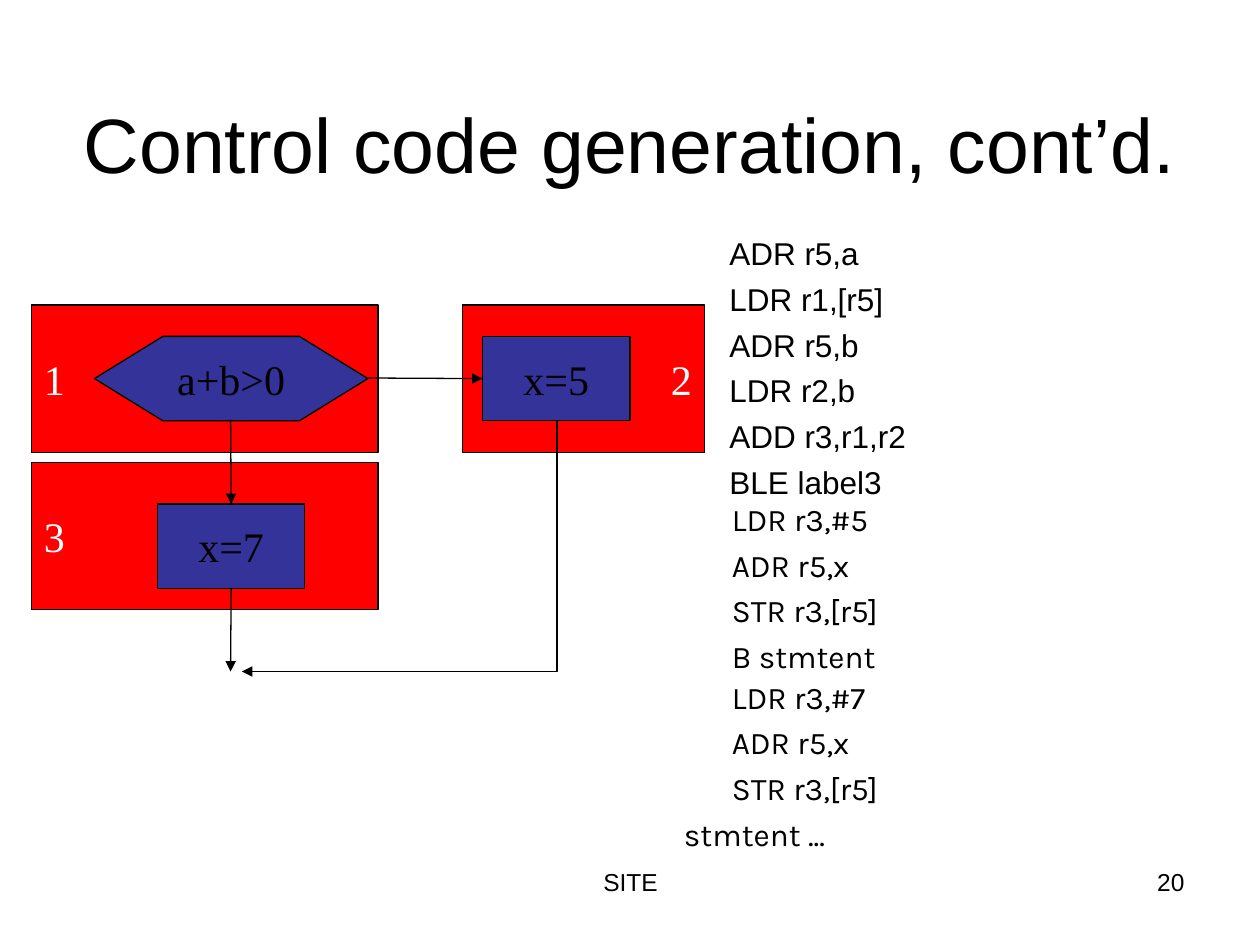
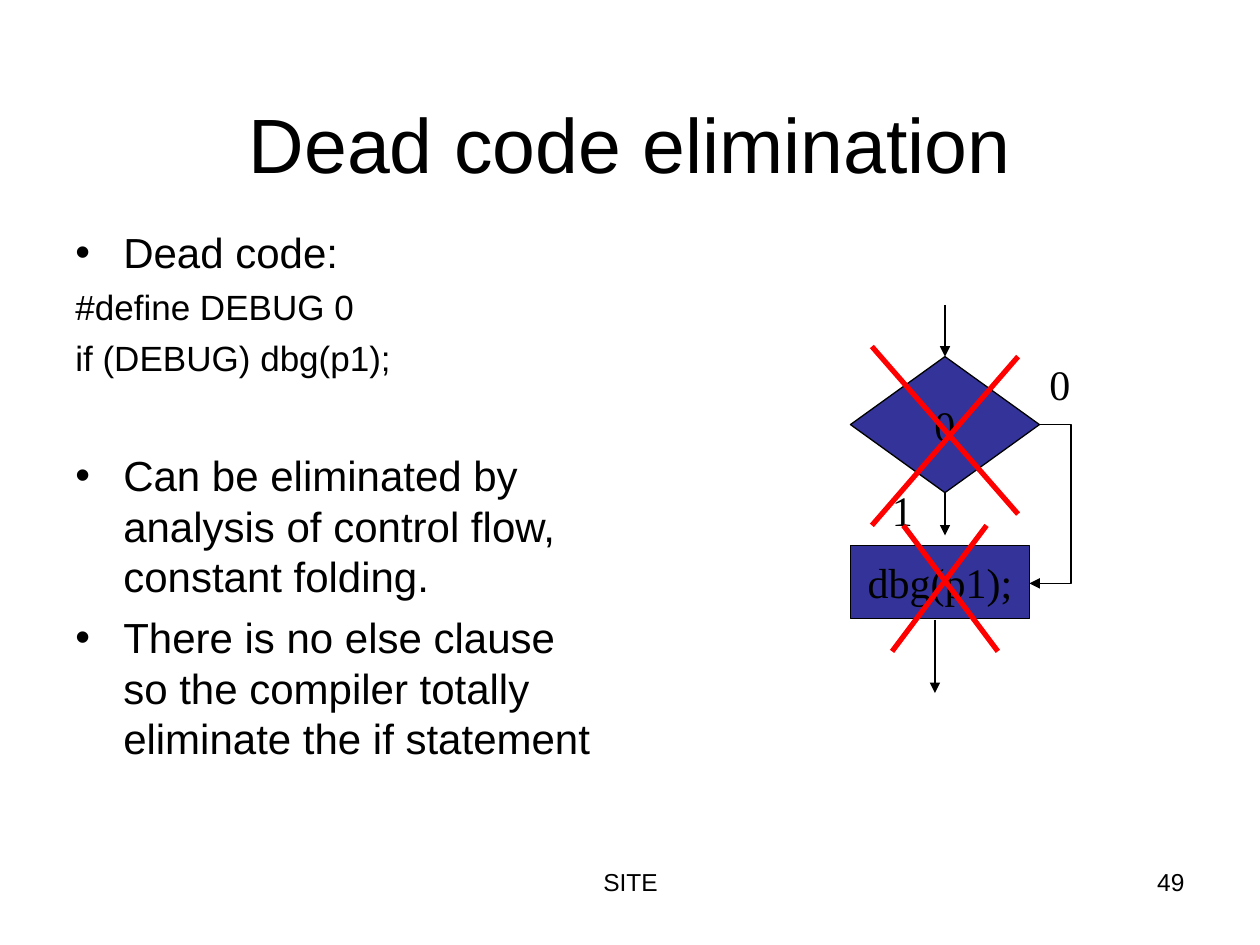
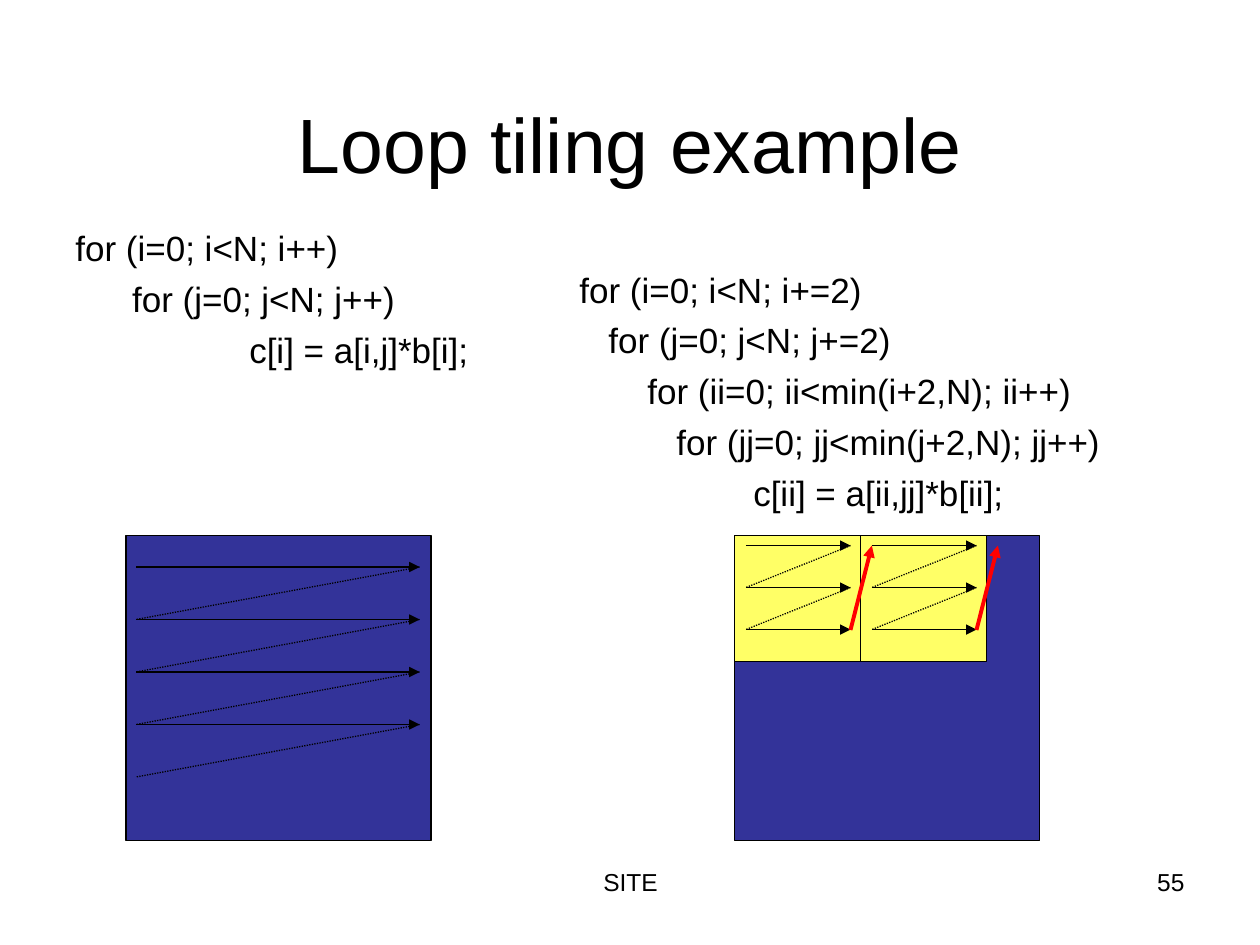
from dataclasses import dataclass
from typing import Optional

from lxml import etree
from pptx import Presentation
from pptx import util as u
from pptx.dml.color import RGBColor
from pptx.enum import dml, shapes, text
from pptx.oxml import ns

COLORS = {
    "black": "000000",
    "white": "FFFFFF",
    "red": "FF0000",
    "blue": "333399",
    "yellow": "FFFF66",
}
SANS, SERIF, KARLA = "Arial", "Times New Roman", "Karla"
LEFT, CENTER, RIGHT = text.PP_ALIGN.LEFT, text.PP_ALIGN.CENTER, text.PP_ALIGN.RIGHT
MIDDLE, BOTTOM = text.MSO_ANCHOR.MIDDLE, text.MSO_ANCHOR.BOTTOM
RECT = shapes.MSO_SHAPE.RECTANGLE
HEXAGON = shapes.MSO_SHAPE.HEXAGON
DIAMOND = shapes.MSO_SHAPE.DIAMOND
STRAIGHT, ELBOW = shapes.MSO_CONNECTOR.STRAIGHT, shapes.MSO_CONNECTOR.ELBOW
TOP_SIDE, LEFT_SIDE, BOTTOM_SIDE = 0, 1, 2
HANG = 0.38


@dataclass
class Para:
    text: str
    indent: float = 0
    bullet: bool = False
    size: Optional[float] = None
    before: Optional[float] = None


@dataclass
class Box:
    x: float
    y: float
    w: float
    h: float
    label: str = ""
    fill: str = "blue"
    color: str = "black"
    align: text.PP_ALIGN = CENTER
    kind: shapes.MSO_SHAPE = RECT


def rgb(name: str) -> RGBColor:
    return RGBColor.from_string(COLORS[name])


def sub(parent, tag: str, **attrs: str):
    return etree.SubElement(parent, ns.qn(tag), attrs)


def write_text(tf, paras, size=24, font=SANS, color="black", align=LEFT,
               before=0, wrap=True, anchor=text.MSO_ANCHOR.TOP) -> None:
    tf.auto_size = text.MSO_AUTO_SIZE.NONE
    tf.word_wrap = wrap
    tf.vertical_anchor = anchor
    for i, item in enumerate(paras):
        para = Para(item) if isinstance(item, str) else item
        p = tf.paragraphs[0] if i == 0 else tf.add_paragraph()
        pPr = p._p.get_or_add_pPr()
        if para.indent or para.bullet:
            pPr.set("marL", str(u.Inches(HANG if para.bullet else para.indent)))
        if para.bullet:
            pPr.set("indent", str(u.Inches(-HANG)))
            sub(pPr, "a:buFont", typeface=SANS)
            sub(pPr, "a:buChar", char="•")
        p.alignment = align
        p.line_spacing = 1.0
        if i:
            p.space_before = u.Pt(before if para.before is None else para.before)
        r = p.add_run()
        r.text = para.text
        r.font.size = u.Pt(para.size or size)
        r.font.name = font
        r.font.color.rgb = rgb(color)


def add_text(s, x: float, y: float, w: float, h: float, paras, **fmt) -> None:
    tb = s.shapes.add_textbox(u.Inches(x), u.Inches(y), u.Inches(w), u.Inches(h))
    write_text(tb.text_frame, paras, **fmt)


def add_box(s, box: Box):
    sp = s.shapes.add_shape(box.kind, u.Inches(box.x), u.Inches(box.y),
                            u.Inches(box.w), u.Inches(box.h))
    sp.shadow.inherit = False
    sp.fill.solid()
    sp.fill.fore_color.rgb = rgb(box.fill)
    sp.line.color.rgb = rgb("black")
    sp.line.width = u.Pt(0.75)
    if box.label:
        write_text(sp.text_frame, [box.label], font=SERIF, color=box.color,
                   align=box.align, wrap=False, anchor=MIDDLE)
    return sp


def add_line(s, x1: float, y1: float, x2: float, y2: float, color="black",
             width=0.75, arrow=True, dotted=False, kind=STRAIGHT):
    cx = s.shapes.add_connector(kind, u.Inches(x1), u.Inches(y1),
                                u.Inches(x2), u.Inches(y2))
    cx.line.color.rgb = rgb(color)
    cx.line.width = u.Pt(width)
    if dotted:
        cx.line.dash_style = dml.MSO_LINE.ROUND_DOT
    if arrow:
        sub(cx.line._get_or_add_ln(), "a:tailEnd", type="triangle")
    sub(cx._element.spPr, "a:effectLst")
    return cx


def add_cross(s, *strokes) -> None:
    for stroke in strokes:
        add_line(s, *stroke, color="red", width=3, arrow=False)


def add_scan(s, left: float, right: float, top: float, step: float,
             rows: int, returns: int) -> None:
    for i in range(rows):
        y = top + i * step
        add_line(s, left, y, right, y)
    for i in range(returns):
        y = top + i * step
        add_line(s, right, y, left, y + step, arrow=False, dotted=True)


def new_slide(prs, title: str, number: int):
    s = prs.slides.add_slide(prs.slide_layouts[5])
    sp = s.shapes.title
    sp.left, sp.top = u.Inches(0.5), u.Inches(0.3)
    sp.width, sp.height = u.Inches(9), u.Inches(1.25)
    write_text(sp.text_frame, [title], size=44, align=CENTER, anchor=BOTTOM)
    add_text(s, 3.42, 6.83, 3.17, 0.52, ["SITE"], size=14, align=CENTER)
    add_text(s, 7.17, 6.83, 2.33, 0.52, [str(number)], size=14, align=RIGHT)
    return s


def control_code(prs) -> None:
    s = new_slide(prs, "Control code generation, cont’d.", 20)
    for block in (
        Box(0.25, 3.67, 2.75, 1.17, "3", "red", "white", LEFT),
        Box(3.67, 2.42, 1.92, 1.17, "2", "red", "white", RIGHT),
        Box(0.25, 2.42, 2.75, 1.17, "1", "red", "white", LEFT),
    ):
        add_box(s, block)
    test = add_box(s, Box(0.75, 2.67, 2.17, 0.67, "a+b>0", kind=HEXAGON))
    test.adjustments[0] = 0.81
    then_box = add_box(s, Box(3.83, 2.67, 1.17, 0.67, "x=5"))
    else_box = add_box(s, Box(1.25, 4, 1.17, 0.67, "x=7"))

    add_line(s, 2.92, 3, 3.83, 3).end_connect(then_box, LEFT_SIDE)
    add_line(s, 1.83, 3.33, 1.83, 4).end_connect(else_box, TOP_SIDE)
    add_line(s, 1.83, 4.67, 1.83, 5.33).begin_connect(else_box, BOTTOM_SIDE)
    join = add_line(s, 2.17, 3.08, 4.17, 5.58, kind=ELBOW)
    join._element.spPr.find(ns.qn("a:xfrm")).set("rot", "5400000")
    join._element.spPr.find(ns.qn("a:prstGeom")).set("prst", "bentConnector2")

    listings = (
        (5.31, 1.81, 2.19, SANS, ("ADR r5,a", "LDR r1,[r5]", "ADR r5,b",
                                  "LDR r2,b", "ADD r3,r1,r2", "BLE label3"), ()),
        (5.33, 3.92, 1.5, KARLA, ("LDR r3,#5", "ADR r5,x", "STR r3,[r5]",
                                  "B stmtent"), ()),
        (5.33, 5.33, 1.5, KARLA, ("LDR r3,#7", "ADR r5,x", "STR r3,[r5]"),
         ("stmtent ...",)),
    )
    for x, y, h, font, code, tail in listings:
        paras = [Para(line, HANG) for line in code] + list(tail)
        add_text(s, x, y, 4.39, h, paras, size=18, font=font, before=4.5)


def dead_code(prs) -> None:
    s = new_slide(prs, "Dead code elimination", 49)
    add_text(s, 0.5, 1.75, 4.42, 4.95, [
        Para("Dead code:", bullet=True),
        Para("#define DEBUG 0", size=20, before=5),
        Para("if (DEBUG) dbg(p1);", size=20, before=5),
        Para("Can be eliminated by analysis of control flow, constant folding.",
             bullet=True, before=40.8),
        Para("There is no else clause so the compiler totally eliminate "
             "the if statement", bullet=True),
    ], before=6)

    test = add_box(s, Box(6.75, 2.83, 1.5, 1.08, "0", kind=DIAMOND))
    add_line(s, 7.5, 3.92, 7.5, 4.25).begin_connect(test, BOTTOM_SIDE)
    add_line(s, 7.5, 2.42, 7.5, 2.83).end_connect(test, TOP_SIDE)
    add_box(s, Box(6.75, 4.33, 1.42, 0.58, "dbg(p1);"))
    add_line(s, 7.42, 4.92, 7.42, 5.5)
    skip = add_line(s, 8.25, 3.37, 8.17, 4.63, kind=ELBOW)
    guides = skip._element.spPr.find(ns.qn("a:prstGeom")).find(ns.qn("a:avLst"))
    sub(guides, "a:gd", name="adj1", fmla="val -312500")
    for x, y, label in ((6.98, 3.8, "1"), (8.23, 2.8, "0")):
        add_text(s, x, y, 0.36, 0.5, [label], font=SERIF, wrap=False)
    add_cross(s, (7.08, 5.17, 7.83, 4.17), (7.92, 5.17, 7.17, 4.17))
    add_cross(s, (6.92, 4.17, 8.08, 2.83), (8.08, 4.08, 6.92, 2.75))


def loop_tiling(prs) -> None:
    s = new_slide(prs, "Loop tiling example", 55)
    add_text(s, 0.5, 1.75, 4.42, 1.47, [
        "for (i=0; i<N; i++)",
        Para("for (j=0; j<N; j++)", 0.45),
        Para("c[i] = a[i,j]*b[i];", 1.38),
    ], size=20, before=5)
    add_text(s, 4.5, 2.08, 5.19, 2.1, [
        "for (i=0; i<N; i+=2)",
        Para("for (j=0; j<N; j+=2)", 0.23),
        Para("for (ii=0; ii<min(i+2,N); ii++)", 0.54),
        Para("for (jj=0; jj<min(j+2,N); jj++)", 0.77),
        Para("c[ii] = a[ii,jj]*b[ii];", 1.38),
    ], size=20, before=5)

    for x in (1, 5.83):
        add_box(s, Box(x, 4.25, 2.42, 2.42))
    add_scan(s, 1.08, 3.33, 4.5, 1.25 / 3, rows=4, returns=4)
    tiles = (5.83, 6.83)
    for x in tiles:
        add_box(s, Box(x, 4.25, 1, 1, fill="yellow"))
        add_scan(s, x + 0.09, x + 0.92, 4.33, 1 / 3, rows=3, returns=2)
    for x in tiles:
        add_line(s, x + 0.92, 5, x + 1.09, 4.33, color="red", width=2.25)


def main() -> None:
    prs = Presentation()
    prs.slide_width, prs.slide_height = u.Inches(10), u.Inches(7.5)
    control_code(prs)
    dead_code(prs)
    loop_tiling(prs)
    prs.save("out.pptx")


if __name__ == "__main__":
    main()
